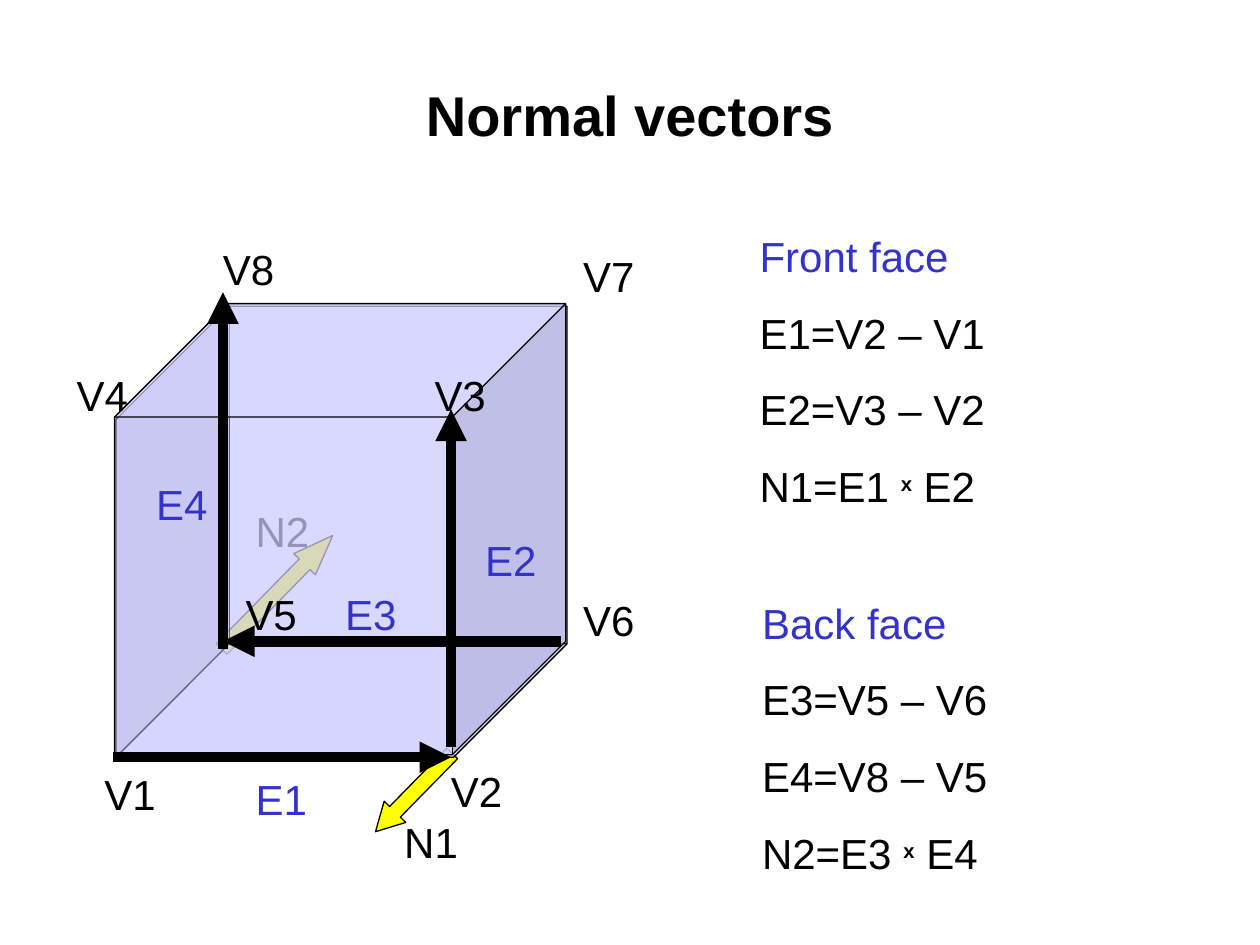
from dataclasses import dataclass

import lxml.etree
import pptx
import pptx.dml.color
import pptx.enum.shapes
import pptx.enum.text
import pptx.oxml.ns
import pptx.util

Inches = pptx.util.Inches
Point = tuple[float, float]

COLORS = {
    "black": "000000",
    "blue": "3333CC",
    "yellow": "FFFF00",
    "cube": "CCCCFF",
    "horizontal face": "D6D6FF",
    "vertical face": "A4A4CD",
}
SIDE, DEPTH = 2.68, 0.9


@dataclass
class Run:
    text: str
    size: float = 24
    bold: bool = False
    baseline: int = 0


@dataclass
class Label:
    text: str
    left: float
    top: float
    color: str = "black"
    width: float = 0.65


@dataclass
class Vector:
    start: Point
    end: Point


@dataclass
class Normal:
    left: float
    top: float
    width: float
    rotation: float
    head: float


@dataclass
class Formulas:
    left: float
    top: float
    heading: str
    differences: list[str]
    product: tuple[str, str]


def rgb(name: str):
    return pptx.dml.color.RGBColor.from_string(COLORS[name])


def add_text(slide, paragraphs: list[list[Run]], left: float, top: float, width: float,
             height: float = 0.5, colors: tuple = ("black",), before: float = 0,
             after: float = 0, title: bool = False):
    """Add a text box; the last colour serves all remaining paragraphs."""
    box = slide.shapes.add_textbox(Inches(left), Inches(top), Inches(width), Inches(height))
    frame = box.text_frame
    frame.word_wrap = title
    frame.auto_size = pptx.enum.text.MSO_AUTO_SIZE.NONE
    if title:
        frame.vertical_anchor = pptx.enum.text.MSO_ANCHOR.MIDDLE
    for index, runs in enumerate(paragraphs):
        paragraph = frame.add_paragraph() if index else frame.paragraphs[0]
        paragraph.space_before = pptx.util.Pt(before)
        paragraph.space_after = pptx.util.Pt(after)
        if title:
            paragraph.alignment = pptx.enum.text.PP_ALIGN.CENTER
        for item in runs:
            run = paragraph.add_run()
            run.text = item.text
            run.font.name = "Arial"
            run.font.size = pptx.util.Pt(item.size)
            run.font.bold = item.bold
            run.font.color.rgb = rgb(colors[min(index, len(colors) - 1)])
            if item.baseline:
                run._r.get_or_add_rPr().set("baseline", str(item.baseline * 1000))


def add_label(slide, label: Label):
    add_text(slide, [[Run(label.text)]], label.left, label.top, label.width,
             colors=(label.color,))


def add_formulas(slide, formulas: Formulas):
    first, second = formulas.product
    product = [Run(first + " "), Run("x", 20, True, 30), Run(" " + second)]
    lines = [[Run(text)] for text in [formulas.heading, *formulas.differences]]
    add_text(slide, lines + [product], formulas.left, formulas.top, 2, 2.33,
             colors=("blue", "black"), before=15)


def outline(shape):
    shape.line.color.rgb = rgb("black")
    shape.line.width = pptx.util.Pt(0.75)


def add_polygon(slide, points: list[Point], fill: str = "", closed: bool = True):
    """Draw a translucent face, or only its outline when no fill is given."""
    corners = [(Inches(x), Inches(y)) for x, y in points]
    builder = slide.shapes.build_freeform(*corners[0])
    builder.add_line_segments(corners[1:], close=closed)
    shape = builder.convert_to_shape()
    shape.shadow.inherit = False
    if fill:
        shape.fill.solid()
        shape.fill.fore_color.rgb = rgb(fill)
        color = shape._element.spPr.find(".//" + pptx.oxml.ns.qn("a:srgbClr"))
        lxml.etree.SubElement(color, pptx.oxml.ns.qn("a:alpha"), val="48000")
        shape.line.fill.background()
    else:
        shape.fill.background()
        outline(shape)


def add_line(slide, vector: Vector, width: float = 0.75, arrow: bool = False):
    connector = slide.shapes.add_connector(
        pptx.enum.shapes.MSO_CONNECTOR.STRAIGHT,
        *(Inches(value) for value in (*vector.start, *vector.end)))
    connector.line.color.rgb = rgb("black")
    connector.line.width = pptx.util.Pt(width)
    if arrow:
        lxml.etree.SubElement(connector.line._get_or_add_ln(),
                              pptx.oxml.ns.qn("a:tailEnd"), type="triangle")
    lxml.etree.SubElement(connector._element.spPr, pptx.oxml.ns.qn("a:effectLst"))


def add_normal(slide, normal: Normal):
    shape = slide.shapes.add_shape(
        pptx.enum.shapes.MSO_SHAPE.LEFT_ARROW, Inches(normal.left), Inches(normal.top),
        Inches(normal.width), Inches(0.24))
    shape.adjustments[0] = 0.5
    shape.adjustments[1] = normal.head
    shape.rotation = normal.rotation
    shape.shadow.inherit = False
    shape.fill.solid()
    shape.fill.fore_color.rgb = rgb("yellow")
    outline(shape)


def add_half_cube(slide, left: float, top: float, front: bool):
    """Draw the three visible faces (front) or the three hidden ones (back)."""
    near_x, far_x = (left, left + SIDE), (left + DEPTH, left + DEPTH + SIDE)
    near_y, far_y = (top + DEPTH, top + DEPTH + SIDE), (top, top + SIDE)
    silhouette = [(far_x[0], far_y[0]), (near_x[0], near_y[0]), (near_x[0], near_y[1]),
                  (near_x[1], near_y[1]), (far_x[1], far_y[1]), (far_x[1], far_y[0])]
    level = 0 if front else 1   # top or bottom face
    flank = 1 if front else 0   # right or left face
    horizontal = [(near_x[0], near_y[level]), (near_x[1], near_y[level]),
                  (far_x[1], far_y[level]), (far_x[0], far_y[level])]
    vertical = [(near_x[flank], near_y[0]), (far_x[flank], far_y[0]),
                (far_x[flank], far_y[1]), (near_x[flank], near_y[1])]
    add_polygon(slide, silhouette, "cube")
    add_polygon(slide, horizontal, "horizontal face")
    add_polygon(slide, vertical, "vertical face")
    add_polygon(slide, silhouette)
    if front:
        add_polygon(slide, horizontal[:3], closed=False)
        add_line(slide, Vector(vertical[0], vertical[3]))
    else:
        add_polygon(slide, [horizontal[2], horizontal[3], horizontal[0]], closed=False)
        add_line(slide, Vector(vertical[2], vertical[1]))


VERTICES = [Label("V1", 0.73, 6.05), Label("V2", 3.48, 6.03), Label("V3", 3.35, 2.88),
            Label("V4", 0.51, 2.88), Label("V5", 1.85, 4.62), Label("V6", 4.53, 4.67),
            Label("V7", 4.53, 1.94), Label("V8", 1.67, 1.88)]
FRONT_EDGES = [Vector((0.9, 6.01), (3.58, 6.01)), Vector((3.58, 5.93), (3.58, 3.25))]
BACK_EDGES = [Vector((4.45, 5.09), (1.77, 5.09)), Vector((1.77, 5.15), (1.77, 2.32))]
FRONT_LABELS = [Label("E1", 1.93, 6.09, "blue"), Label(" E2", 3.66, 4.19, "blue", 0.75)]
BACK_LABELS = [Label("E3", 2.64, 4.62, "blue"), Label("E4", 1.14, 3.75, "blue")]
FRONT_FORMULAS = Formulas(5.93, 1.78, "Front face", ["E1=V2 – V1", "E2=V3 – V2"],
                          ("N1=E1", "E2"))
BACK_FORMULAS = Formulas(5.95, 4.69, "Back face", ["E3=V5 – V6", "E4=V8 – V5"],
                         ("N2=E3", "E4"))


def main():
    presentation = pptx.Presentation()
    presentation.slide_width, presentation.slide_height = Inches(10), Inches(7.5)
    slide = presentation.slides.add_slide(presentation.slide_layouts[6])

    # Normals, seen through the cube
    add_normal(slide, Normal(2.85, 6.17, 0.87, 314.4, 0.92))
    add_normal(slide, Normal(1.57, 4.58, 1.26, 134.4, 1.33))
    add_label(slide, Label("N2", 1.93, 3.96))

    # Title
    add_text(slide, [[Run("Normal vectors", 32, True)]], 0.75, 0.28, 8.5, 1.25,
             before=12, after=6, title=True)

    # Cube
    add_half_cube(slide, 0.92, 2.43, front=False)
    add_half_cube(slide, 0.91, 2.41, front=True)
    for label in VERTICES:
        add_label(slide, label)

    # Edge vectors and formulas of each face
    for edges, labels, formulas in ((FRONT_EDGES, FRONT_LABELS, FRONT_FORMULAS),
                                    (BACK_EDGES, BACK_LABELS, BACK_FORMULAS)):
        for edge in edges:
            add_line(slide, edge, 6, arrow=True)
        for label in labels:
            add_label(slide, label)
        add_formulas(slide, formulas)
    add_label(slide, Label("N1", 3.11, 6.43))

    presentation.save("out.pptx")


if __name__ == "__main__":
    main()
